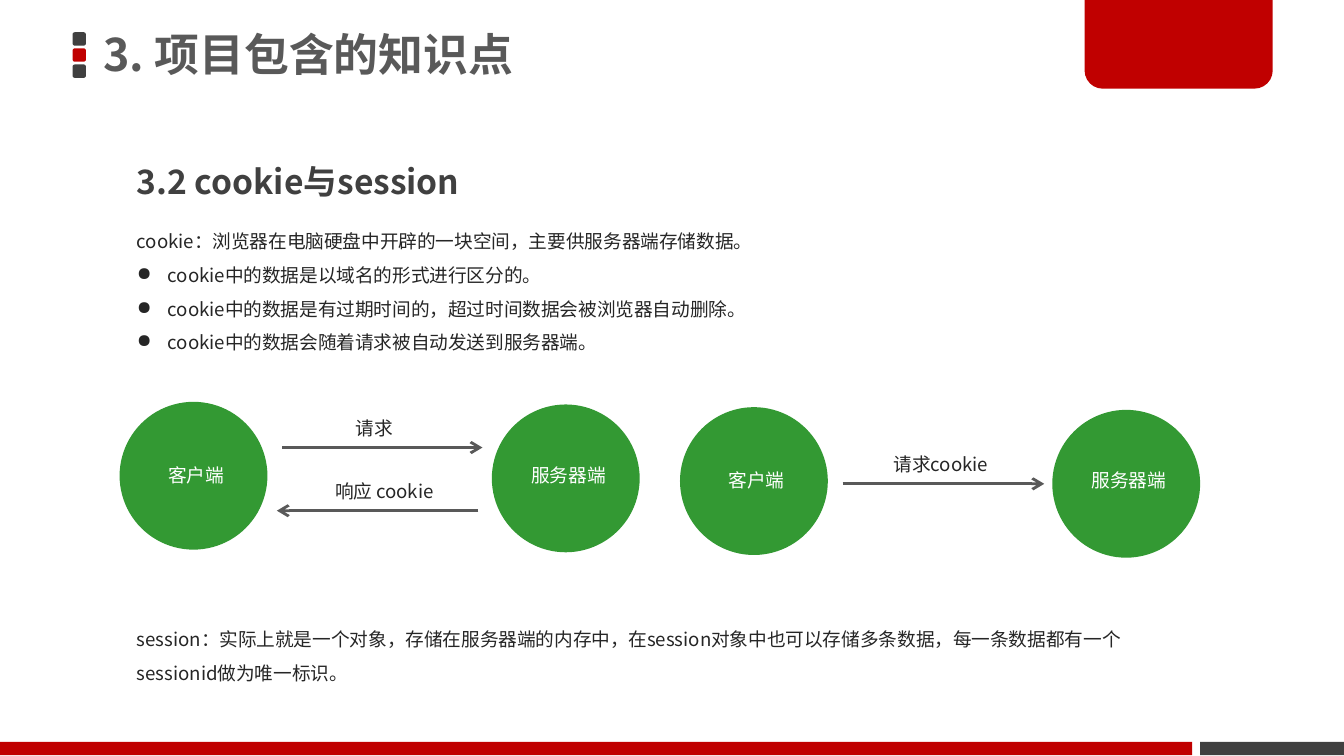
from lxml.etree import SubElement
from pptx import Presentation
from pptx.dml.color import RGBColor
from pptx.enum.shapes import MSO_CONNECTOR, MSO_SHAPE
from pptx.enum.text import MSO_ANCHOR, PP_ALIGN
from pptx.oxml.ns import qn
from pptx.util import Inches, Pt

FONT = "Noto Sans CJK SC"
COLORS = {
    "red": "C00000",
    "dark": "404040",
    "gray": "595959",
    "body": "262626",
    "green": "339933",
    "white": "FFFFFF",
}


def rgb(name):
    """Return the named palette colour."""
    return RGBColor.from_string(COLORS[name])


def add_block(slide, preset, left, top, width, height, color, adjustments=()):
    """Draw a filled preset shape without outline or shadow."""
    block = slide.shapes.add_shape(
        preset, Inches(left), Inches(top), Inches(width), Inches(height)
    )
    block.shadow.inherit = False
    block.fill.solid()
    block.fill.fore_color.rgb = rgb(color)
    block.line.fill.background()
    for index, value in enumerate(adjustments):
        block.adjustments[index] = value


def add_bullet(paragraph):
    """Give a paragraph a round bullet with a hanging indent."""
    properties = paragraph._p.get_or_add_pPr()
    properties.set("marL", str(Inches(0.23)))
    properties.set("indent", str(-Inches(0.23)))
    bullet_color = SubElement(properties, qn("a:buClr"))
    SubElement(bullet_color, qn("a:srgbClr"), val=COLORS["body"])
    SubElement(properties, qn("a:buChar"), char="●")


def add_text(slide, text, left, top, width, height, size=10, color="body",
             bold=False, align=PP_ALIGN.LEFT, anchor=MSO_ANCHOR.TOP,
             spacing=1.0, margins=(0.1, 0.05), bullets_from=None):
    """Add a text box with one paragraph per line of text."""
    box = slide.shapes.add_textbox(
        Inches(left), Inches(top), Inches(width), Inches(height)
    )
    frame = box.text_frame
    frame.word_wrap = True
    frame.vertical_anchor = anchor
    frame.margin_left = frame.margin_right = Inches(margins[0])
    frame.margin_top = frame.margin_bottom = Inches(margins[1])
    for index, line in enumerate(text.split("\n")):
        paragraph = frame.add_paragraph() if index else frame.paragraphs[0]
        paragraph.alignment = align
        paragraph.line_spacing = spacing
        if bullets_from is not None and index >= bullets_from:
            add_bullet(paragraph)
        run = paragraph.add_run()
        run.text = line
        run.font.size = Pt(size)
        run.font.bold = bold
        run.font.color.rgb = rgb(color)
        run.font.name = FONT
        SubElement(run._r.get_or_add_rPr(), qn("a:ea"), typeface=FONT)


def add_node(slide, label, left, top, label_top):
    """Draw a green circle for one end of the exchange, with its label."""
    add_block(slide, MSO_SHAPE.OVAL, left, top, 1.1, 1.1, "green")
    add_text(slide, label, left - 0.14, label_top, 1.42, 0.27,
             color="white", align=PP_ALIGN.CENTER)


def add_message(slide, label, start, end, y, label_left, label_width):
    """Draw a horizontal arrow with its label above it."""
    arrow = slide.shapes.add_connector(
        MSO_CONNECTOR.STRAIGHT, Inches(start), Inches(y), Inches(end), Inches(y)
    )
    arrow.line.color.rgb = rgb("gray")
    arrow.line.width = Pt(1.5)
    SubElement(arrow.line._get_or_add_ln(), qn("a:tailEnd"), type="arrow")
    SubElement(arrow._element.spPr, qn("a:effectLst"))
    add_text(slide, label, label_left, y - 0.28, label_width, 0.27,
             align=PP_ALIGN.CENTER)


def add_decoration(slide):
    """Draw the title marker, the corner tab and the footer bars."""
    for row, color in enumerate(("dark", "red", "dark")):
        add_block(slide, MSO_SHAPE.ROUNDED_RECTANGLE,
                  0.54, 0.24 + 0.12 * row, 0.1, 0.1, color, (0.17,))
    add_block(slide, MSO_SHAPE.RECTANGLE, 8.93, 5.52, 1.07, 0.1, "dark")
    add_block(slide, MSO_SHAPE.ROUND_2_SAME_RECTANGLE,
              8.07, -0.02, 1.4, 0.68, "red", (0, 0.2))
    add_block(slide, MSO_SHAPE.RECTANGLE, 0, 5.52, 8.87, 0.1, "red")


def main():
    """Build the slide on cookies and sessions."""
    presentation = Presentation()
    presentation.slide_width = Inches(10)
    presentation.slide_height = Inches(10) * 9 // 16
    slide = presentation.slides.add_slide(presentation.slide_layouts[6])

    add_decoration(slide)
    add_text(slide, "3. 项目包含的知识点", 0.69, -0.02, 5.89, 0.89,
             size=24, color="gray", bold=True, anchor=MSO_ANCHOR.MIDDLE,
             spacing=0.9, margins=(0.08, 0.04))
    add_text(slide, "3.2 cookie与session", 0.92, 1, 3.84, 0.55,
             size=18, color="dark", bold=True, spacing=1.5)

    cookie_lines = (
        "cookie：浏览器在电脑硬盘中开辟的一块空间，主要供服务器端存储数据。",
        "cookie中的数据是以域名的形式进行区分的。",
        "cookie中的数据是有过期时间的，超过时间数据会被浏览器自动删除。",
        "cookie中的数据会随着请求被自动发送到服务器端。",
    )
    add_text(slide, "\n".join(cookie_lines), 0.92, 1.58, 7.55, 1.1,
             spacing=1.5, bullets_from=1)

    for left, top, label_top in ((0.89, 2.99, 3.4), (5.06, 3.03, 3.44)):
        add_node(slide, "客户端", left, top, label_top)
        add_node(slide, "服务器端", left + 2.77, top + 0.02, label_top)

    add_message(slide, "请求", 2.1, 3.59, 3.33, 2.43, 0.71)
    add_message(slide, "响应 cookie", 3.56, 2.06, 3.8, 2.06, 1.6)
    add_message(slide, "请求cookie", 6.27, 7.77, 3.6, 6.17, 1.66)

    add_text(slide,
             "session：实际上就是一个对象，存储在服务器端的内存中，"
             "在session对象中也可以存储多条数据，"
             "每一条数据都有一个sessionid做为唯一标识。",
             0.92, 4.54, 7.55, 0.6, spacing=1.5)

    presentation.save("out.pptx")


if __name__ == "__main__":
    main()
